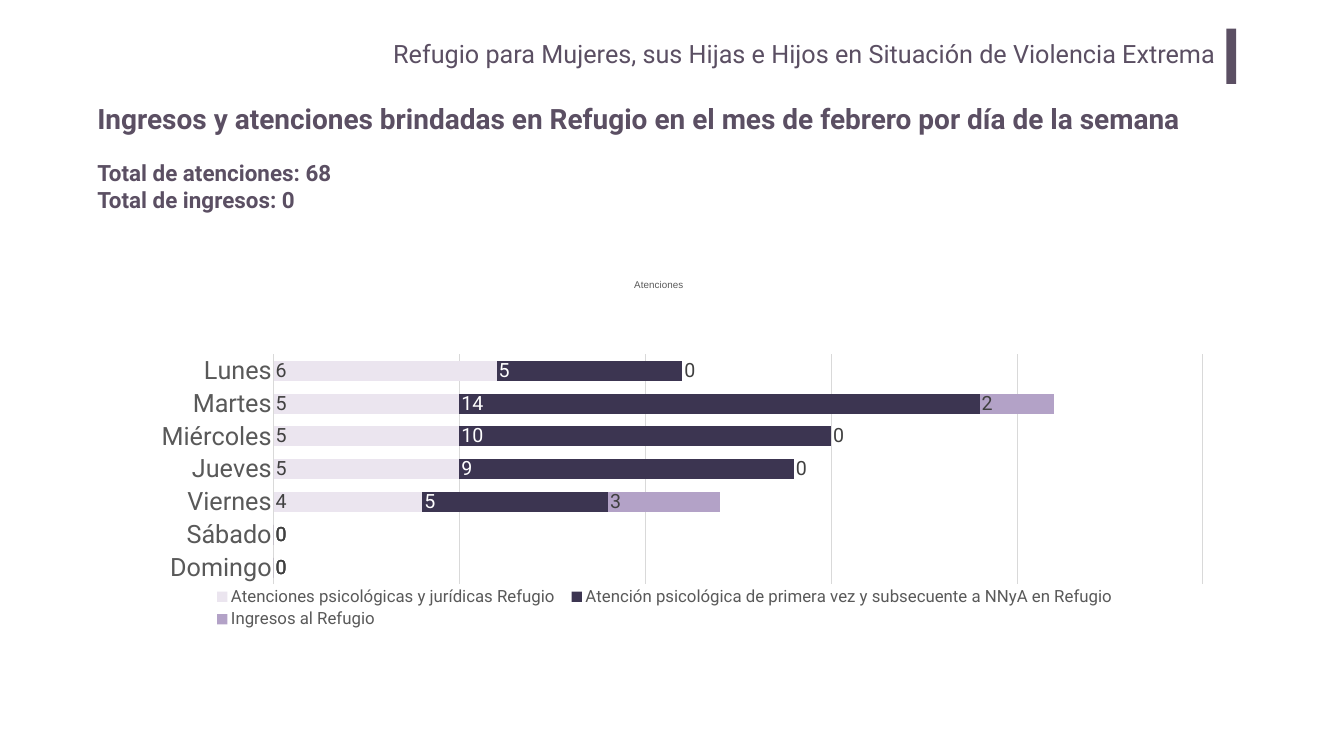
from lxml import etree
from pptx import Presentation
from pptx.chart.data import CategoryChartData
from pptx.dml.color import RGBColor
from pptx.enum.chart import XL_CHART_TYPE as ChartType, XL_LABEL_POSITION as LabelPosition
from pptx.enum.chart import XL_LEGEND_POSITION as LegendPosition, XL_TICK_MARK as TickMark
from pptx.enum.shapes import MSO_SHAPE as Shape
from pptx.enum.text import MSO_ANCHOR as Anchor, MSO_AUTO_SIZE as AutoSize, PP_ALIGN as Align
from pptx.oxml.ns import qn
from pptx.util import Pt

PURPLE, GREY, GRID, LABEL = "5B4F63", "595959", "D9D9D9", "404040"


def style(font, size, color, name="Roboto", bold=False):
    font.size, font.name, font.bold = Pt(size), name, bold
    font.color.rgb = RGBColor.from_string(color)


def set_layout(element, index, target, **fractions):
    """Place a chart part by fractions of the chart's size."""
    for old in element.findall(qn("c:layout")):
        element.remove(old)
    layout = etree.Element(qn("c:layout"))
    manual = etree.SubElement(layout, qn("c:manualLayout"))
    if target:
        etree.SubElement(manual, qn("c:layoutTarget")).set("val", target)
    for mode in ("xMode", "yMode"):
        etree.SubElement(manual, qn(f"c:{mode}")).set("val", "edge")
    for key, value in fractions.items():
        etree.SubElement(manual, qn(f"c:{key}")).set("val", str(value))
    element.insert(index, layout)


presentation = Presentation()
presentation.slide_width, presentation.slide_height = Pt(1920), Pt(1080)
slide = presentation.slides.add_slide(presentation.slide_layouts[6])

# Header accent bar
bar = slide.shapes.add_shape(Shape.RECTANGLE, Pt(1752), Pt(41), Pt(14), Pt(79))
bar.shadow.inherit = False
bar.fill.solid()
bar.fill.fore_color.rgb = RGBColor.from_string(PURPLE)
bar.line.fill.background()

# Text: box, inset, anchor, alignment, line spacing, size, bold, wording
texts = [
    ((132, 119.5, 1573, 104.5), (7.2, 3.6), Anchor.MIDDLE, Align.JUSTIFY, 0.9, 40, True,
     "Ingresos y atenciones brindadas en Refugio en el mes de febrero por día de la semana"),
    ((288.5, 48, 1462, 73.5), (14.4, 7.2), Anchor.TOP, Align.RIGHT, 1.0, 36, False,
     "Refugio para Mujeres, sus Hijas e Hijos en Situación de Violencia Extrema"),
    ((132, 224, 406, 85), (7.2, 3.6), Anchor.TOP, Align.LEFT, 1.0, 32, True,
     "Total de atenciones: 68\nTotal de ingresos: 0"),
]
for box, (inset_x, inset_y), anchor, alignment, spacing, size, bold, wording in texts:
    frame = slide.shapes.add_textbox(*map(Pt, box)).text_frame
    frame.word_wrap = True
    frame.auto_size = AutoSize.NONE
    frame.margin_left = frame.margin_right = Pt(inset_x)
    frame.margin_top = frame.margin_bottom = Pt(inset_y)
    frame.vertical_anchor = anchor
    frame.text = wording
    for paragraph in frame.paragraphs:
        paragraph.alignment = alignment
        paragraph.line_spacing = spacing
        for run in paragraph.runs:
            style(run.font, size, PURPLE, bold=bold)

# Stacked bars by weekday; the first category is drawn at the bottom
series_data = [
    ("Atenciones psicológicas y jurídicas Refugio", (0, 0, 4, 5, 5, 5, 6), "EBE5EF"),
    ("Atención psicológica de primera vez y subsecuente a NNyA en Refugio",
     (0, 0, 5, 9, 10, 14, 5), "3C3551"),
    ("Ingresos al Refugio", (0, 0, 3, 0, 0, 2, 0), "B3A2C7"),
]
chart_data = CategoryChartData(number_format="0")
chart_data.categories = ["Domingo", "Sábado", "Viernes", "Jueves", "Miércoles", "Martes", "Lunes"]
for name, values, color in series_data:
    chart_data.add_series(name, values)
chart = slide.shapes.add_chart(
    ChartType.BAR_STACKED, Pt(132), Pt(381), Pt(1618.5), Pt(521.5), chart_data).chart
style(chart.font, 10, "000000", "Arial")

chart.has_title = True
chart.chart_title.text_frame.text = "Atenciones"
style(chart.chart_title.text_frame.paragraphs[0].runs[0].font, 14, GREY, "Arial")

chart.has_legend = True
legend = chart.legend
legend.position = LegendPosition.BOTTOM
legend.include_in_layout = False
style(legend.font, 24, GREY)
set_layout(legend._element, 1, None, x=0.1, y=0.87, w=0.81, h=0.13)

category_axis, value_axis = chart.category_axis, chart.value_axis
category_axis.major_tick_mark = category_axis.minor_tick_mark = TickMark.NONE
style(category_axis.tick_labels.font, 36, GREY)
value_axis.visible = False
value_axis.minimum_scale, value_axis.maximum_scale, value_axis.major_unit = 0, 25, 5
value_axis.has_major_gridlines = True
for line in (category_axis.format.line, value_axis.major_gridlines.format.line):
    line.width = Pt(0.75)
    line.color.rgb = RGBColor.from_string(GRID)

plot = chart.plots[0]
plot.gap_width, plot.overlap, plot.vary_by_categories = 65, 100, False
for series, (name, values, color) in zip(plot.series, series_data):
    series.format.fill.solid()
    series.format.fill.fore_color.rgb = RGBColor.from_string(color)
    labels = series.data_labels
    labels.show_value = True
    labels.number_format, labels.number_format_is_linked = "0", False
    labels.position = LabelPosition.INSIDE_BASE
    style(labels.font, 28, LABEL)

# White labels on the dark bars
dark_series = plot.series[1]
for index, value in enumerate(dark_series.values):
    if value:
        label = dark_series.points[index].data_label
        style(label.font, 28, "FFFFFF")
        label.position = LabelPosition.INSIDE_BASE

plot_area = chart._chartSpace.find(f".//{qn('c:plotArea')}")
set_layout(plot_area, 0, "inner", x=0.16, y=0.24, w=0.82, h=0.63)

presentation.save("out.pptx")
